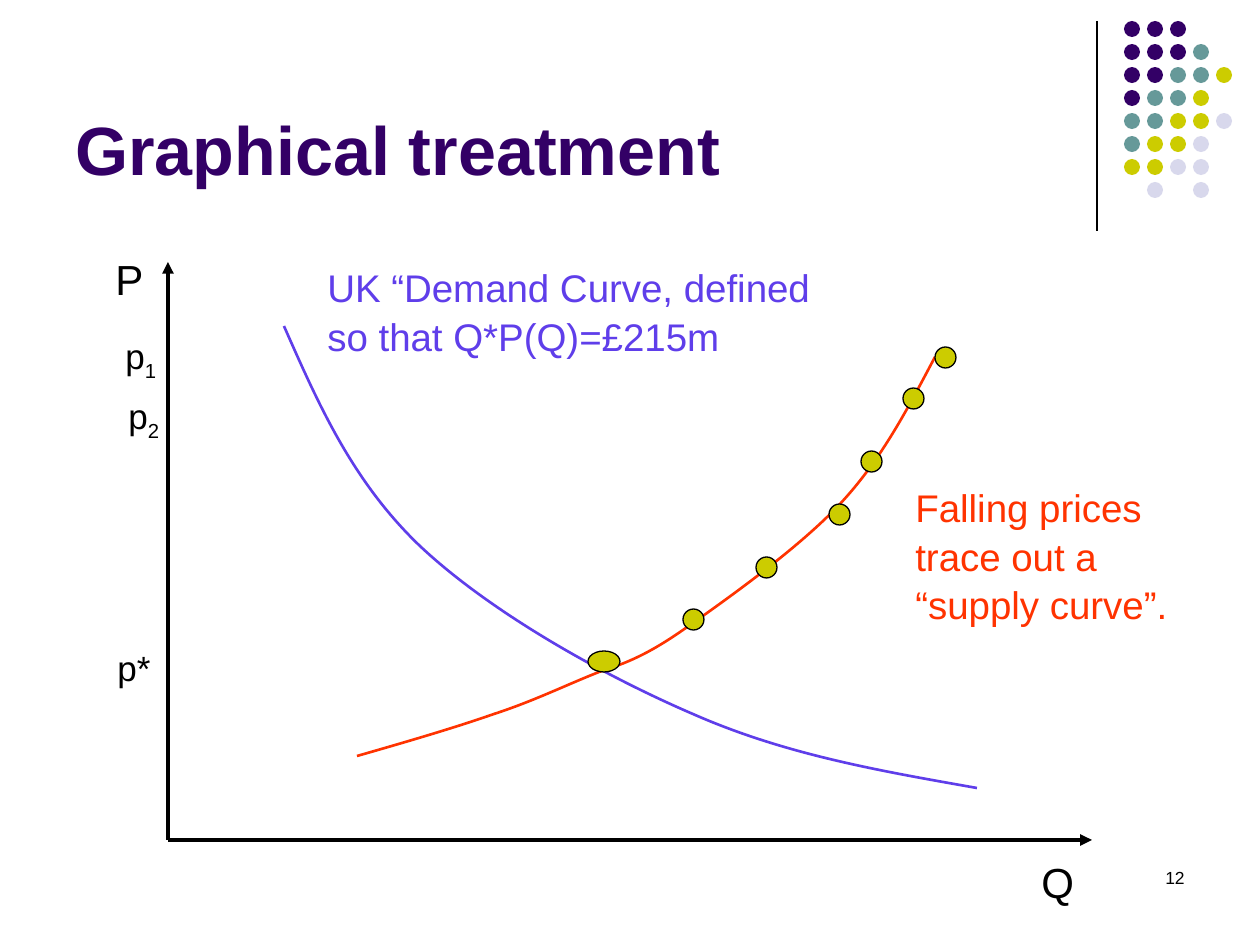
from pptx import Presentation
from pptx.dml.color import RGBColor
from pptx.enum.shapes import MSO_CONNECTOR, MSO_SHAPE
from pptx.enum.text import MSO_ANCHOR, PP_ALIGN
from pptx.oxml.ns import qn
from pptx.util import Pt
from lxml.etree import SubElement

PX = 914400 / 126
BLACK, PURPLE, TEAL, OLIVE, PALE = "000000", "330066", "669999", "CCCC00", "D8D8EC"
BLUE, RED = "5F3EEA", "FF3300"
DOT_COLORS = {"P": PURPLE, "T": TEAL, "O": OLIVE, "L": PALE}
DOT_ROWS = ["PPP", "PPPT", "PPTTO", "PTTO", "TTOOL", "TOOL", "OOLL", " L L"]

# Each curve is a start point followed by triples of Bézier points.
DEMAND = [(184, 86), (218, 163), (252, 241), (320, 306), (389, 371),
          (500, 434), (593, 474), (686, 515), (781, 531), (877, 548)]
SUPPLY_UPPER = [(835, 117), (808, 168), (782, 219), (740, 264), (698, 309),
                (623, 362), (583, 390), (543, 418), (520, 425), (499, 432)]
SUPPLY_LOWER = [(499, 432), (466, 445), (434, 461), (394, 474), (354, 488),
                (306, 502), (257, 516)]
PRICE_POINTS = [(835, 107), (803, 148), (761, 211), (729, 264), (656, 317), (583, 369)]


def px(n):
    return round(n * PX)


def rgb(color):
    return RGBColor.from_string(color)


def add_text(s, x, y, w, h, lines, size, color=BLACK, bold=False, wrap=False,
             align=PP_ALIGN.LEFT, anchor=MSO_ANCHOR.TOP, spacing=None, sub=None):
    """Add a text box with one paragraph per line and an optional subscript."""
    tf = s.shapes.add_textbox(px(x), px(y), px(w), px(h)).text_frame
    tf.word_wrap = wrap
    tf.vertical_anchor = anchor
    tf.text = "\n".join(lines)
    for p in tf.paragraphs:
        p.alignment = align
        if spacing:
            p.line_spacing = spacing
        if sub:
            p.add_run().text = sub
            p.runs[-1].font._rPr.set("baseline", "-25000")
        f = p.font
        f.name, f.size, f.bold = "Arial", Pt(size), bold
        f.color.rgb = rgb(color)


def add_line(s, x1, y1, x2, y2, width, arrow=False):
    c = s.shapes.add_connector(MSO_CONNECTOR.STRAIGHT, px(x1), px(y1), px(x2), px(y2))
    c.line.color.rgb = rgb(BLACK)
    c.line.width = Pt(width)
    if arrow:
        SubElement(c.line._get_or_add_ln(), qn("a:tailEnd"), type="triangle")
    SubElement(c._element.spPr, qn("a:effectLst"))


def add_dot(s, x, y, w, h, color, outlined=False):
    sp = s.shapes.add_shape(MSO_SHAPE.OVAL, px(x), px(y), px(w), px(h))
    sp.shadow.inherit = False
    sp.fill.solid()
    sp.fill.fore_color.rgb = rgb(color)
    if outlined:
        sp.line.color.rgb = rgb(BLACK)
        sp.line.width = Pt(0.75)
    else:
        sp.line.fill.background()


def add_curve(s, x, y, points, color):
    """Add an open outline and turn each three line segments into one Bézier."""
    start, *rest = [(x + dx, y + dy) for dx, dy in points]
    builder = s.shapes.build_freeform(*start, scale=PX)
    builder.add_line_segments(rest, close=False)
    sp = builder.convert_to_shape()
    sp.shadow.inherit = False
    sp.fill.background()
    sp.line.color.rgb = rgb(color)
    sp.line.width = Pt(1.5)
    outline = next(sp._element.iter(qn("a:path")))
    for i, segment in enumerate(outline.findall(qn("a:lnTo"))):
        if i % 3 == 0:
            bezier = SubElement(outline, qn("a:cubicBezTo"))
        bezier.append(segment[0])
        outline.remove(segment)


def add_ornament(s, x, y):
    add_line(s, x, y, x, y + 210, 0.75)
    for row, codes in enumerate(DOT_ROWS):
        for col, code in enumerate(codes):
            if code in DOT_COLORS:
                add_dot(s, x + 27 + 23 * col, y + 23 * row, 16, 16, DOT_COLORS[code])


def add_graph(s, x, y):
    """Draw axes, curves, price points and labels from the top left corner x, y."""
    for end_x, end_y in [(992, 600), (68, 22)]:
        add_line(s, x + 68, y + 600, x + end_x, y + end_y, 2.25, arrow=True)
    add_text(s, x + 929, y + 610, 58, 63, ["Q"], 24)
    add_text(s, x + 3, y + 7, 53, 63, ["P"], 24)
    for dx, dy, label, sub in [(13, 88, "p", "1"), (16, 148, "p", "2"), (5, 400, "p*", None)]:
        add_text(s, x + dx, y + dy, 58, 54, [label], 20, sub=sub)

    for points, color in [(DEMAND, BLUE), (SUPPLY_UPPER, RED), (SUPPLY_LOWER, RED)]:
        add_curve(s, x, y, points, color)
    for dx, dy in PRICE_POINTS:
        add_dot(s, x + dx, y + dy, 21, 21, OLIVE, outlined=True)
    add_dot(s, x + 488, y + 411, 32, 21, OLIVE, outlined=True)

    add_text(s, x + 215, y + 16, 519, 105,
             ["UK “Demand Curve, defined", "so that Q*P(Q)=£215m"], 22, BLUE, spacing=1.05)
    add_text(s, x + 803, y + 236, 277, 151,
             ["Falling prices", "trace out a", "“supply curve”."], 22, RED, spacing=1.05)


def main():
    prs = Presentation()
    prs.slide_width, prs.slide_height = px(1260), px(945)
    s = prs.slides.add_slide(prs.slide_layouts[6])
    add_ornament(s, 1097, 21)
    add_text(s, 63, 16, 1040, 179, ["Graphical treatment"], 39, PURPLE,
             bold=True, wrap=True, anchor=MSO_ANCHOR.BOTTOM)
    add_graph(s, 100, 240)
    add_text(s, 903, 861, 294, 63, ["12"], 10, wrap=True, align=PP_ALIGN.RIGHT)
    prs.save("out.pptx")


if __name__ == "__main__":
    main()
